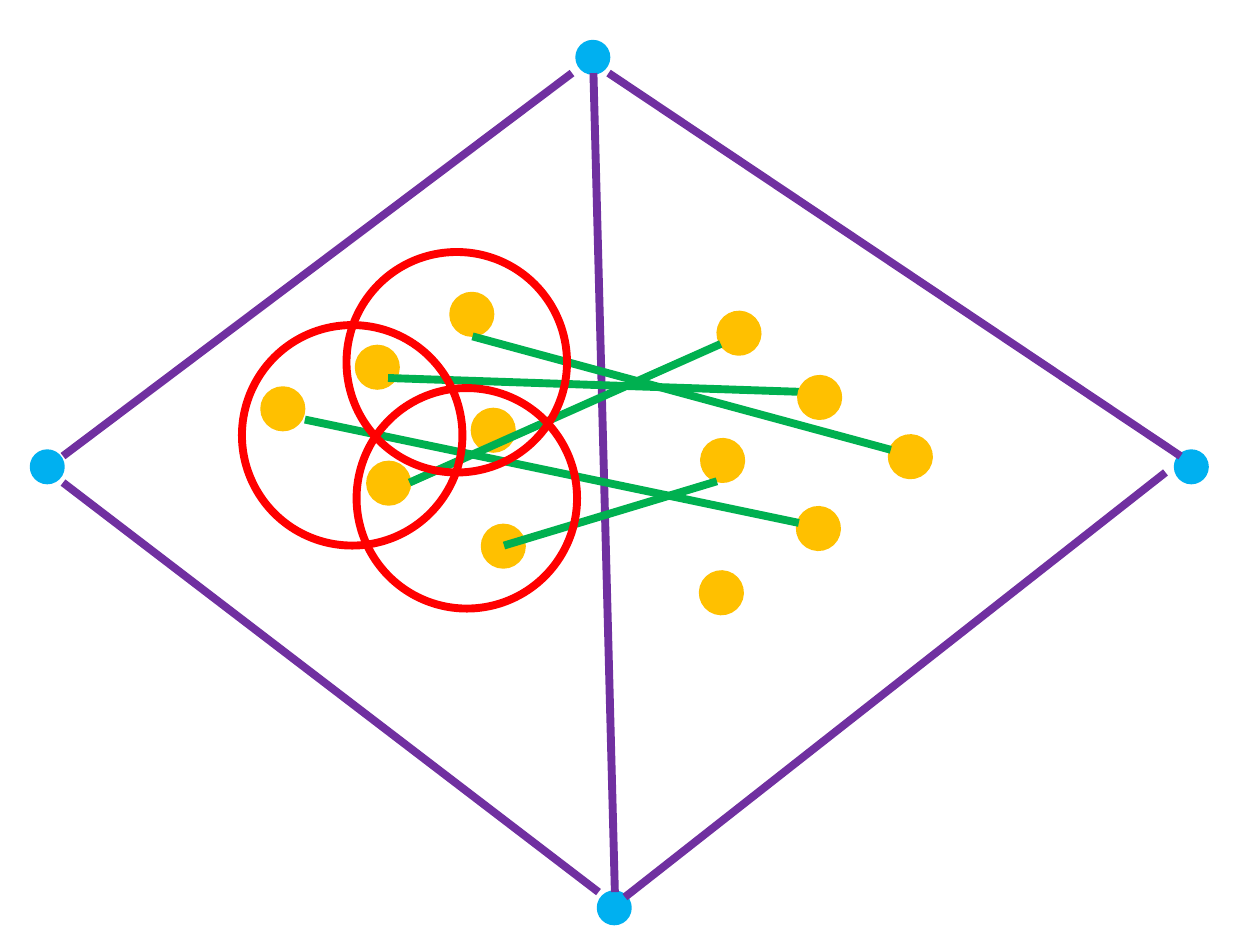
"""Build a slide of two meshed triangles with matched points and search circles."""
import pptx
import pptx.util
import pptx.dml.color
import pptx.enum.shapes
import pptx.oxml

THEME = {
    "corner": "00B0F0", "edge": "7030A0", "point": "FFC000",
    "match": "00B050", "search": "FF0000",
    "thin": 2, "thick": 4.5,
}
SIZES = {"corner": 0.25, "point": 0.33, "search": 1.75}
TILT = 62.1

CORNERS = [(4.58, 0.33), (9.33, 3.58), (0.25, 3.58), (4.75, 7.08)]
EDGES = [
    ((4.54, 0.58), (0.5, 3.62)),
    ((4.83, 0.58), (9.37, 3.62)),
    ((0.5, 3.83), (4.75, 7.08)),
    ((4.96, 7.12), (9.25, 3.75)),
    ((4.88, 7.08), (4.71, 0.58)),
]
LEFT = [(2.83, 2.75), (3.58, 2.33), (3.75, 3.25), (2.08, 3.08), (2.92, 3.67), (3.83, 4.17)]
RIGHT = [(6.34, 2.99), (7.06, 3.46), (6.33, 4.03), (5.7, 2.48), (5.57, 3.49), (5.56, 4.54)]
MATCHES = [
    ((3.08, 3), (6.35, 3.11)),
    ((3.75, 2.67), (7.07, 3.57)),
    ((2.42, 3.33), (6.34, 4.15)),
    ((3.25, 3.83), (5.72, 2.73)),
    ((4, 4.33), (5.69, 3.82)),
]
SEARCHES = [(2.75, 2), (1.92, 2.58), (2.83, 3.08)]

Inches = pptx.util.Inches


def paint(line, role, width):
    line.color.rgb = pptx.dml.color.RGBColor.from_string(THEME[role])
    line.width = pptx.util.Pt(THEME[width])


def rings(slide, spots, role, solid=True, turn=0):
    size = Inches(SIZES[role])
    for left, top in spots:
        ring = slide.shapes.add_shape(
            pptx.enum.shapes.MSO_SHAPE.OVAL, Inches(left), Inches(top), size, size)
        ring.shadow.inherit = False
        ring.rotation = turn
        if solid:
            ring.fill.solid()
            ring.fill.fore_color.rgb = pptx.dml.color.RGBColor.from_string(THEME[role])
        else:
            ring.fill.background()
        paint(ring.line, role, "thin" if solid else "thick")


def lines(slide, pairs, role):
    for start, end in pairs:
        line = slide.shapes.add_connector(
            pptx.enum.shapes.MSO_CONNECTOR.STRAIGHT, *map(Inches, start + end))
        paint(line.line, role, "thick")
        props = line._element.spPr
        props.append(pptx.oxml.parse_xml(
            '<a:effectLst xmlns:a="http://schemas.openxmlformats.org/drawingml/2006/main"/>'))


def main():
    deck = pptx.Presentation()
    deck.slide_width, deck.slide_height = Inches(10), Inches(7.5)
    slide = deck.slides.add_slide(deck.slide_layouts[6])
    rings(slide, CORNERS, "corner")
    lines(slide, EDGES, "edge")
    rings(slide, LEFT[:1], "point")
    lines(slide, MATCHES[:1], "match")
    rings(slide, LEFT[1:], "point")
    rings(slide, RIGHT, "point", turn=TILT)
    lines(slide, MATCHES[1:], "match")
    rings(slide, SEARCHES, "search", solid=False)
    deck.save("out.pptx")


if __name__ == "__main__":
    main()
